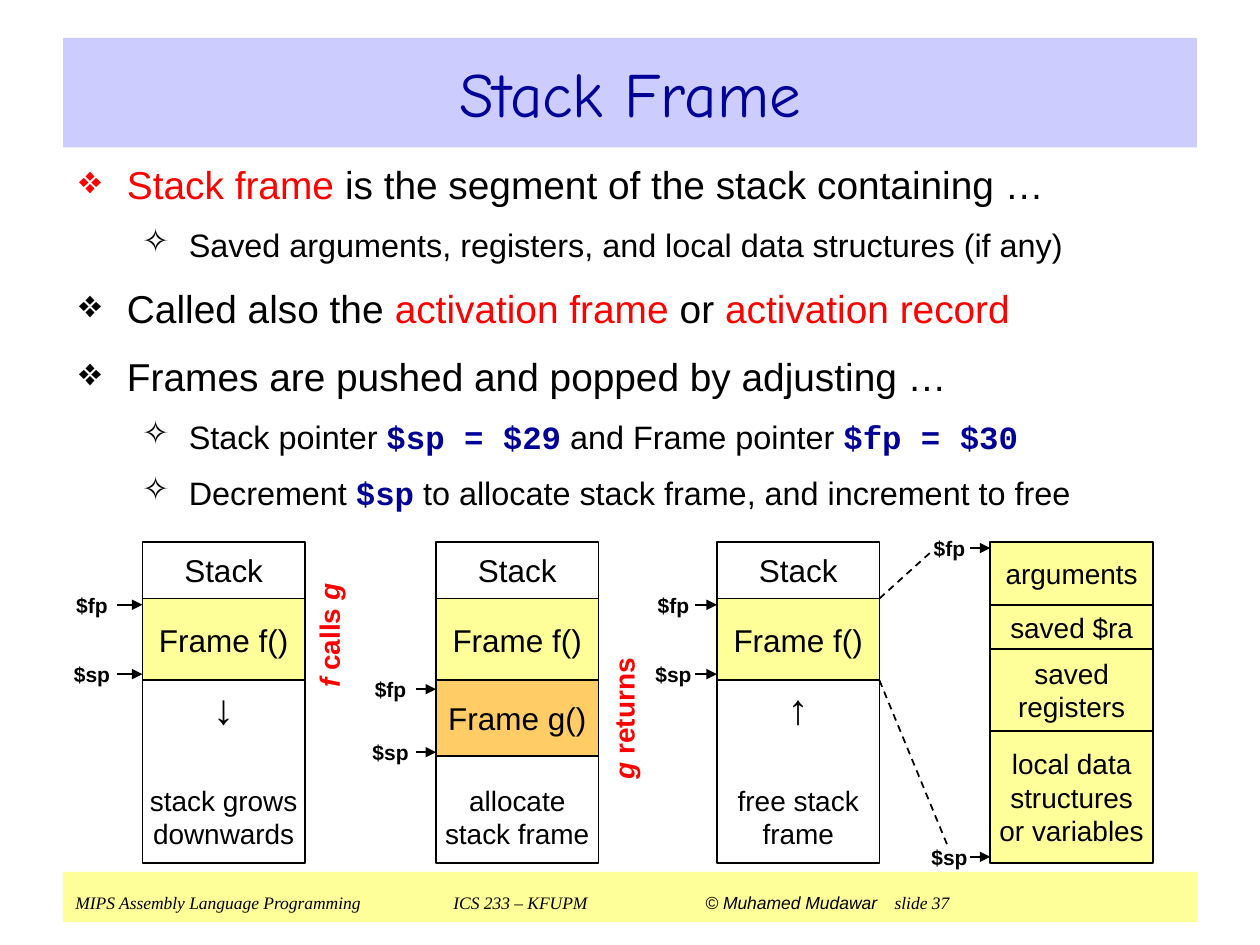
from pptx import Presentation
from pptx.dml.color import RGBColor
from pptx.enum.dml import MSO_LINE
from pptx.enum.shapes import MSO_CONNECTOR, MSO_SHAPE
from pptx.enum.text import MSO_ANCHOR, PP_ALIGN
from pptx.oxml.ns import qn
from pptx.util import Inches, Pt
from lxml.etree import SubElement

BLACK = RGBColor(0, 0, 0)
WHITE = RGBColor(255, 255, 255)
RED = RGBColor(255, 0, 0)
NAVY = RGBColor(0, 0, 0x99)
LAVENDER = RGBColor(0xCC, 0xCC, 0xFF)
YELLOW = RGBColor(0xFF, 0xFF, 0x99)
ORANGE = RGBColor(0xFF, 0xCC, 0x66)

PLAIN = {}
HOT = {"color": RED}
CODE = {"font": "Courier New", "color": NAVY, "bold": True}
LABEL = {"size": 12, "bold": True}
CALL = {"size": 16, "color": RED, "bold": True}
CALL_NAME = {**CALL, "italic": True}
CREDIT = {"size": 10, "italic": True}
FOOTER = {**CREDIT, "font": "Times New Roman"}

TITLE = "Stack Frame"
BULLETS = [
    (0, [("Stack frame", HOT), (" is the segment of the stack containing …", PLAIN)]),
    (1, [("Saved arguments, registers, and local data structures (if any)", PLAIN)]),
    (0, [("Called also the ", PLAIN), ("activation frame", HOT), (" or ", PLAIN),
         ("activation record", HOT)]),
    (0, [("Frames are pushed and popped by adjusting …", PLAIN)]),
    (1, [("Stack pointer ", PLAIN), ("$sp = $29", CODE), (" and Frame pointer ", PLAIN),
         ("$fp = $30", CODE)]),
    (1, [("Decrement ", PLAIN), ("$sp", CODE),
         (" to allocate stack frame, and increment to free", PLAIN)]),
]
LEVELS = [
    {"size": 22.2, "left": 0.38, "hang": 0.38, "before": 12, "mark": "❖"},
    {"size": 18.5, "left": 0.87, "hang": 0.37, "before": 10, "mark": "✧"},
]
FOOTER_RUNS = [
    ("MIPS Assembly Language Programming\tICS 233 – KFUPM\t", FOOTER),
    ("© Muhamed Mudawar", CREDIT), ("  ", {"size": 18}), ("slide 37", FOOTER),
]
FOOTER_TABS = [3, 5]

STACK_TOP = 4.3
CELL_WIDTH = 1.29
STACK = (0.45, WHITE, [("Stack", 18)])
FRAME_F = (0.65, YELLOW, [("Frame f()", 18)])
COLUMNS = [
    {"left": 1.13, "inset": 0, "label": (0.55, 0.38), "fp": 4.8, "sp": 5.35,
     "cells": [STACK, FRAME_F, (1.45, WHITE, [("↓", 24), ("stack grows downwards", 16)])]},
    {"left": 3.46, "inset": 0, "label": (2.92, 0.38), "fp": 5.47, "sp": 5.97,
     "cells": [STACK, FRAME_F, (0.6, ORANGE, [("Frame g()", 18)]),
               (0.85, WHITE, [("allocate stack frame", 16)])]},
    {"left": 5.69, "inset": 0.1, "label": (5.19, 0.33), "fp": 4.8, "sp": 5.35,
     "cells": [STACK, FRAME_F, (1.45, WHITE, [("↑", 24), ("free stack frame", 16)])]},
    {"left": 7.86, "inset": 0, "label": (7.39, 0.31), "fp": 4.35, "sp": 6.8,
     "cells": [(0.5, YELLOW, [("arguments", 16)]), (0.35, YELLOW, [("saved $ra", 16)]),
               (0.65, YELLOW, [("saved registers", 16)]),
               (1.05, YELLOW, [("local data structures", 16), ("or variables", 16)])]},
]
CALLS = [
    ((2.01, 4.91, 1.2, 0.27), [("f", CALL_NAME), (" calls ", CALL), ("g", CALL_NAME)]),
    ((4.38, 5.57, 1.14, 0.27), [("g", CALL_NAME), (" returns", CALL)]),
]
ZOOM_LINES = [((6.98, 5.4), (7.52, 6.71)), ((6.98, 4.75), (7.39, 4.38))]

prs = Presentation()
prs.slide_width, prs.slide_height = Inches(10), Inches(7.5)
slide = prs.slides.add_slide(prs.slide_layouts[5])
shapes = slide.shapes


def write(paragraph, runs, size=18):
    for text, style in runs:
        run = paragraph.add_run()
        run.text = text
        font = run.font
        font.name = style.get("font", "Arial")
        font.size = Pt(style.get("size", size))
        font.bold = style.get("bold", False)
        font.italic = style.get("italic", False)
        font.color.rgb = style.get("color", BLACK)


def set_frame(shape, inset_x, inset_y, anchor=MSO_ANCHOR.TOP):
    frame = shape.text_frame
    frame.word_wrap = True
    frame.margin_left = frame.margin_right = Inches(inset_x)
    frame.margin_top = frame.margin_bottom = Inches(inset_y)
    frame.vertical_anchor = anchor
    return frame


def add_rect(box, fill):
    rect = shapes.add_shape(MSO_SHAPE.RECTANGLE, *map(Inches, box))
    rect.shadow.inherit = False
    rect.fill.solid()
    rect.fill.fore_color.rgb = fill
    rect.line.fill.background()
    return rect


def add_text(box, runs, inset_y=0.05):
    text_box = shapes.add_textbox(*map(Inches, box))
    paragraph = set_frame(text_box, 0, inset_y).paragraphs[0]
    paragraph.alignment = PP_ALIGN.CENTER
    write(paragraph, runs)
    return text_box


def add_line(start, end):
    line = shapes.add_connector(MSO_CONNECTOR.STRAIGHT, *map(Inches, start + end))
    line.line.color.rgb = BLACK
    line.line.width = Pt(1)
    SubElement(line._element.spPr, qn("a:effectLst"))
    return line


def add_cell(box, fill, lines, inset):
    cell = add_rect(box, fill)
    cell.line.color.rgb = BLACK
    cell.line.width = Pt(1)
    at_bottom = fill == WHITE and lines != STACK[2]
    frame = set_frame(cell, inset, 0, MSO_ANCHOR.BOTTOM if at_bottom else MSO_ANCHOR.MIDDLE)
    if at_bottom:
        frame.margin_bottom = Inches(0.1)
    for i, (text, size) in enumerate(lines):
        paragraph = frame.add_paragraph() if i else frame.paragraphs[0]
        paragraph.alignment = PP_ALIGN.CENTER
        if i and at_bottom:
            paragraph.space_before = Pt(29)
        write(paragraph, [(text, {"bold": size == 24})], size)


footer = add_rect((0.5, 6.92, 9, 0.4), YELLOW)
footer_line = set_frame(footer, 0.1, 0.05).paragraphs[0]
footer_line.alignment = PP_ALIGN.LEFT
write(footer_line, FOOTER_RUNS)
tab_list = SubElement(footer_line._p.get_or_add_pPr(), qn("a:tabLst"))
for position in FOOTER_TABS:
    SubElement(tab_list, qn("a:tab"), pos=str(Inches(position)), algn="l")

title = shapes.title
title.left, title.top, title.width, title.height = map(Inches, (0.5, 0.3, 9, 0.87))
title.fill.solid()
title.fill.fore_color.rgb = LAVENDER
heading = set_frame(title, 0.1, 0.05, MSO_ANCHOR.MIDDLE).paragraphs[0]
heading.alignment = PP_ALIGN.CENTER
write(heading, [(TITLE, {"font": "Comic Neue", "size": 36, "color": NAVY})])

body = set_frame(shapes.add_textbox(*map(Inches, (0.53, 1.23, 8.94, 2.9))), 0.1, 0.05)
for i, (depth, runs) in enumerate(BULLETS):
    level = LEVELS[depth]
    bullet = body.add_paragraph() if i else body.paragraphs[0]
    bullet.level = depth
    bullet.space_before = Pt(level["before"])
    write(bullet, runs, level["size"])
    props = bullet._p.get_or_add_pPr()
    props.set("marL", str(Inches(level["left"])))
    props.set("indent", str(-Inches(level["hang"])))
    mark_color = SubElement(props, qn("a:buClr"))
    SubElement(mark_color, qn("a:srgbClr"), val=str(runs[0][1].get("color", BLACK)))
    SubElement(props, qn("a:buChar"), char=level["mark"])

for column in COLUMNS:
    left, top = column["left"], STACK_TOP
    for height, fill, lines in column["cells"]:
        add_cell((left, top, CELL_WIDTH, height), fill, lines, column["inset"])
        top += height
    label_left, label_width = column["label"]
    for pointer in ("fp", "sp"):
        y = column[pointer]
        add_text((label_left, y - 0.15, label_width - 0.02, 0.3), [("$" + pointer, LABEL)])
        arrow = add_line((label_left + label_width, y), (left, y))
        SubElement(arrow.line._get_or_add_ln(), qn("a:tailEnd"), type="triangle")

for box, runs in CALLS:
    add_text(box, runs, inset_y=0).rotation = 270

for start, end in ZOOM_LINES:
    add_line(start, end).line.dash_style = MSO_LINE.DASH

prs.save("out.pptx")
